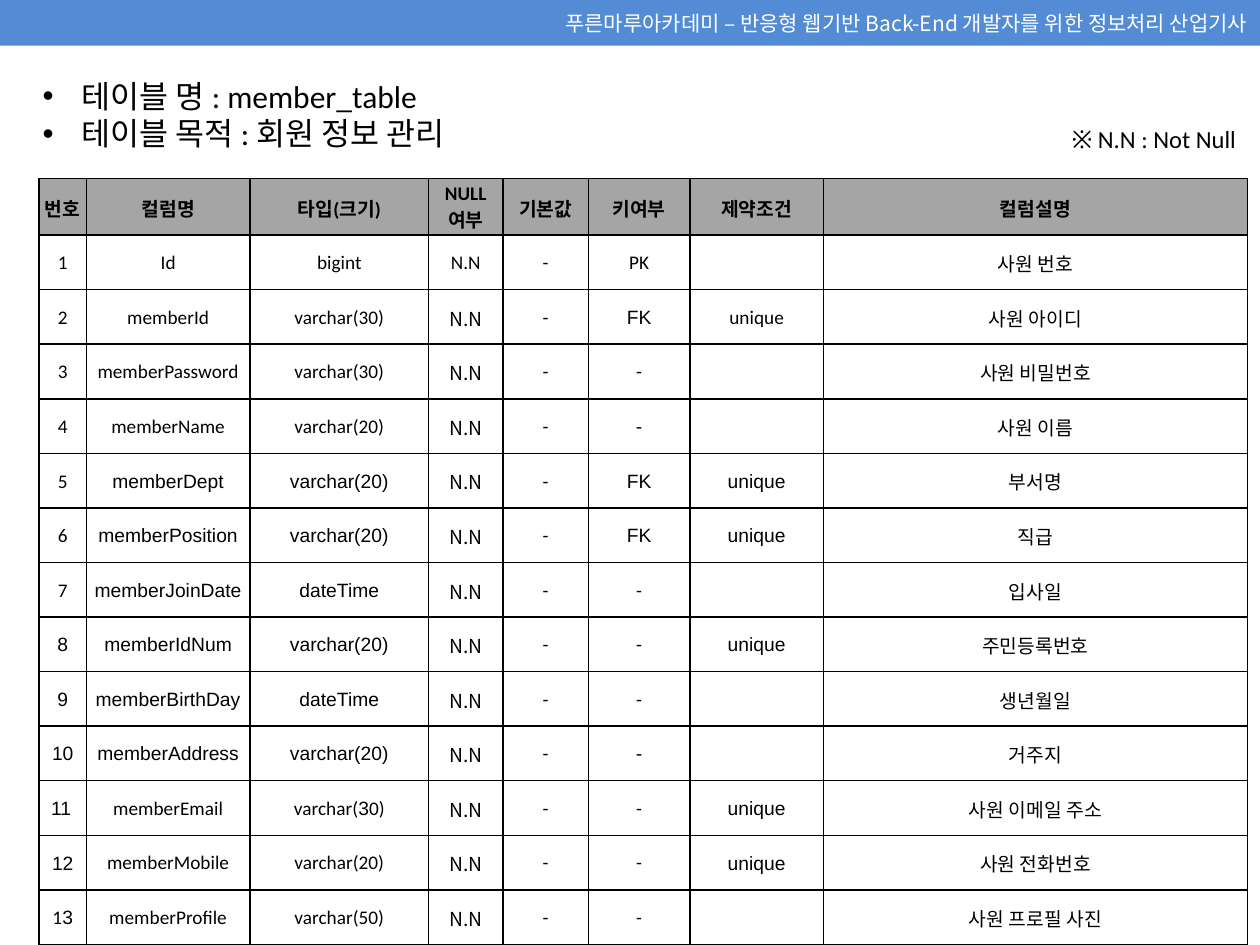
from lxml import etree
from pptx import Presentation
from pptx.dml.color import RGBColor
from pptx.enum import shapes, text
from pptx.oxml import ns
from pptx.util import Cm, Pt

CALIBRI, ARIAL, NOTO = "Calibri", "Arial", "Noto Sans CJK KR"
LEFT, CENTER, RIGHT = text.PP_ALIGN.LEFT, text.PP_ALIGN.CENTER, text.PP_ALIGN.RIGHT


def rgb(hex_color):
    return RGBColor.from_string(hex_color)


def write(paragraph, pieces, size, align, color="000000", bold=False):
    """Fill a paragraph with (wording, font name) pieces."""
    paragraph.alignment = align
    for wording, font_name in pieces:
        run = paragraph.add_run()
        run.text = wording
        run.font.name = font_name
        run.font.size = Pt(size)
        run.font.bold = bold
        run.font.color.rgb = rgb(color)


prs = Presentation()
prs.slide_width, prs.slide_height = Cm(25.4), Cm(19.05)
slide = prs.slides.add_slide(prs.slide_layouts[6])

# Course banner
banner = slide.shapes.add_shape(shapes.MSO_SHAPE.RECTANGLE, 0, 0, prs.slide_width, Cm(0.92))
banner.shadow.inherit = False
banner.fill.solid()
banner.fill.fore_color.rgb = rgb("538CD5")
banner.line.fill.background()
banner.text_frame.vertical_anchor = text.MSO_ANCHOR.MIDDLE
course = "푸른마루아카데미 – 반응형 웹기반 Back-End 개발자를 위한 정보처리 산업기사"
write(banner.text_frame.paragraphs[0], [(course, NOTO)], 12, RIGHT, "FFFFFF")

# Table name and purpose
summary = slide.shapes.add_textbox(Cm(0.61), Cm(1.42), Cm(24.1), Cm(1.8)).text_frame
summary.word_wrap = True
summary.add_paragraph()
facts = ["테이블 명 : member_table", "테이블 목적 : 회원 정보 관리"]
for paragraph, fact in zip(summary.paragraphs, facts):
    write(paragraph, [(fact, CALIBRI)], 18, LEFT)
    props = paragraph._p.get_or_add_pPr()
    props.set("marL", str(Cm(0.79)))
    props.set("indent", str(-Cm(0.79)))
    etree.SubElement(props, ns.qn("a:buFont")).set("typeface", ARIAL)
    etree.SubElement(props, ns.qn("a:buChar")).set("char", "•")

# Column specification
headings = ["번호", "컬럼명", "타입(크기)", "NULL 여부", "기본값", "키여부", "제약조건", "컬럼설명"]
members = [
    ("Id", "bigint", "PK", "", "사원 번호"),
    ("memberId", "varchar(30)", "FK", "unique", "사원 아이디"),
    ("memberPassword", "varchar(30)", "-", "", "사원 비밀번호"),
    ("memberName", "varchar(20)", "-", "", "사원 이름"),
    ("memberDept", "varchar(20)", "FK", "unique", "부서명"),
    ("memberPosition", "varchar(20)", "FK", "unique", "직급"),
    ("memberJoinDate", "dateTime", "-", "", "입사일"),
    ("memberIdNum", "varchar(20)", "-", "unique", "주민등록번호"),
    ("memberBirthDay", "dateTime", "-", "", "생년월일"),
    ("memberAddress", "varchar(20)", "-", "", "거주지"),
    ("memberEmail", "varchar(30)", "-", "unique", "사원 이메일 주소"),
    ("memberMobile", "varchar(20)", "-", "unique", "사원 전화번호"),
    ("memberProfile", "varchar(50)", "-", "", "사원 프로필 사진"),
]
rows = [[[(heading, CALIBRI)] for heading in headings]]
for number, (name, kind, key, constraint, meaning) in enumerate(members, 1):
    name_font = ARIAL if 5 <= number <= 10 else CALIBRI
    rows.append([
        [(str(number), ARIAL if number >= 8 else CALIBRI)],
        [(name, name_font)],
        [(kind, name_font)],
        [("N.N", CALIBRI if number == 1 else NOTO)],
        [("-", CALIBRI)],
        [(key, ARIAL if key == "FK" or number in (4, 10) else CALIBRI)],
        [(constraint, CALIBRI if number == 2 else ARIAL)] if constraint else [],
        [("사", ARIAL), (meaning[1:], CALIBRI)] if meaning.startswith("사원") else [(meaning, ARIAL)],
    ])
rows[11][2] = [("varchar(", CALIBRI), ("3", ARIAL), ("0)", CALIBRI)]
rows[13][0] = [("1", CALIBRI), ("3", ARIAL)]

widths = [0.95, 3.3, 3.6, 1.5, 1.72, 2.05, 2.69, 8.55]
heights = [1.14] + [1.1] * len(members)
spec_table = slide.shapes.add_table(
    len(rows), len(headings), Cm(0.79), Cm(3.6), Cm(sum(widths)), Cm(sum(heights))).table
spec_table.first_row = spec_table.horz_banding = False
for column, width in zip(spec_table.columns, widths):
    column.width = Cm(width)

for r, (row, height) in enumerate(zip(rows, heights)):
    spec_table.rows[r].height = Cm(height)
    for c, pieces in enumerate(row):
        cell = spec_table.cell(r, c)
        cell.vertical_anchor = text.MSO_ANCHOR.MIDDLE
        cell.margin_left = cell.margin_right = cell.margin_top = Cm(0.03)
        cell.margin_bottom = 0
        for side in ("lnL", "lnR", "lnT", "lnB"):
            border = etree.SubElement(cell._tc.get_or_add_tcPr(), ns.qn("a:" + side), w=str(Pt(1)))
            line_fill = etree.SubElement(border, ns.qn("a:solidFill"))
            etree.SubElement(line_fill, ns.qn("a:srgbClr"), val="000000")
        if r == 0:
            cell.fill.solid()
            cell.fill.fore_color.rgb = rgb("A5A5A5")
        else:
            cell.fill.background()
        write(cell.text_frame.paragraphs[0], pieces, 11, CENTER, bold=r == 0)

# Number 11 is set from the left
eleven = spec_table.cell(11, 0)
eleven.margin_left = Cm(0.24)
eleven.text_frame.paragraphs[0].alignment = LEFT

# Legend
legend = slide.shapes.add_textbox(Cm(21.23), Cm(2.37), Cm(3.94), Cm(0.86)).text_frame
legend.word_wrap = True
write(legend.paragraphs[0], [("※ N.N : Not Null", CALIBRI)], 14, RIGHT)

prs.save("out.pptx")
